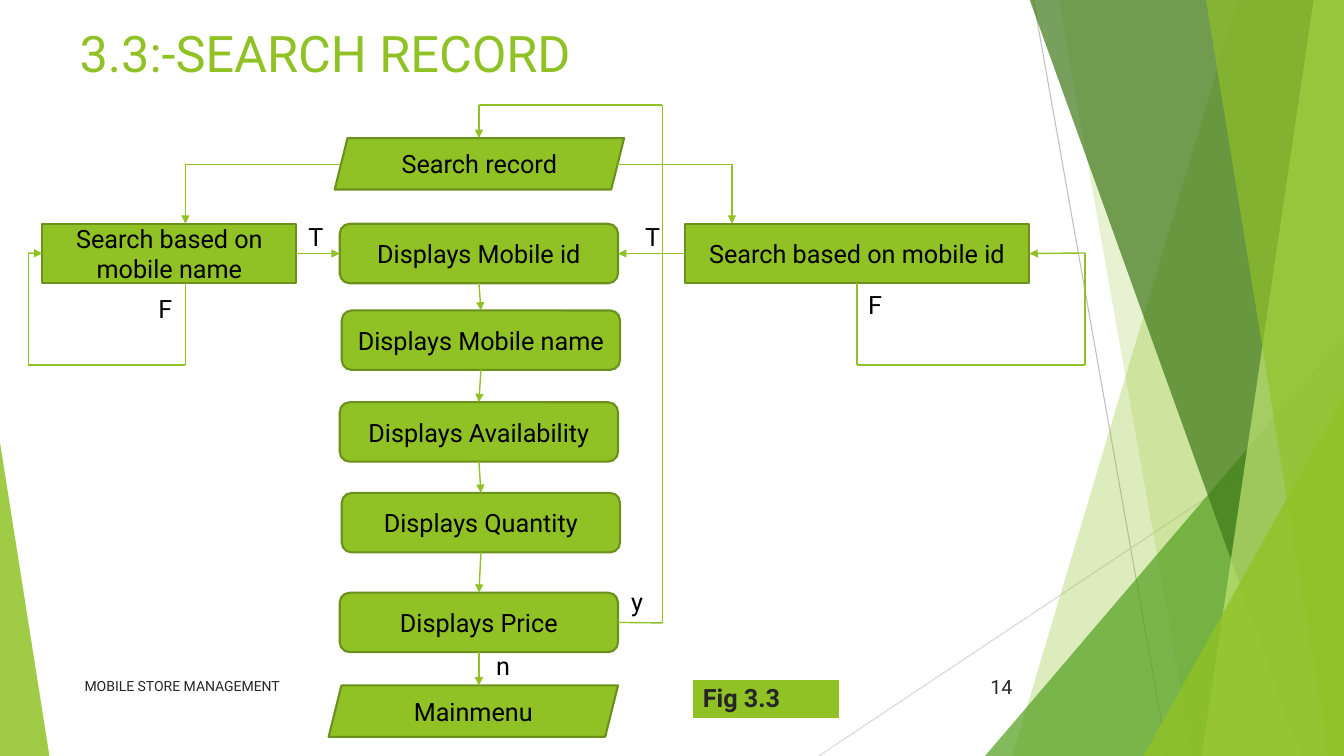
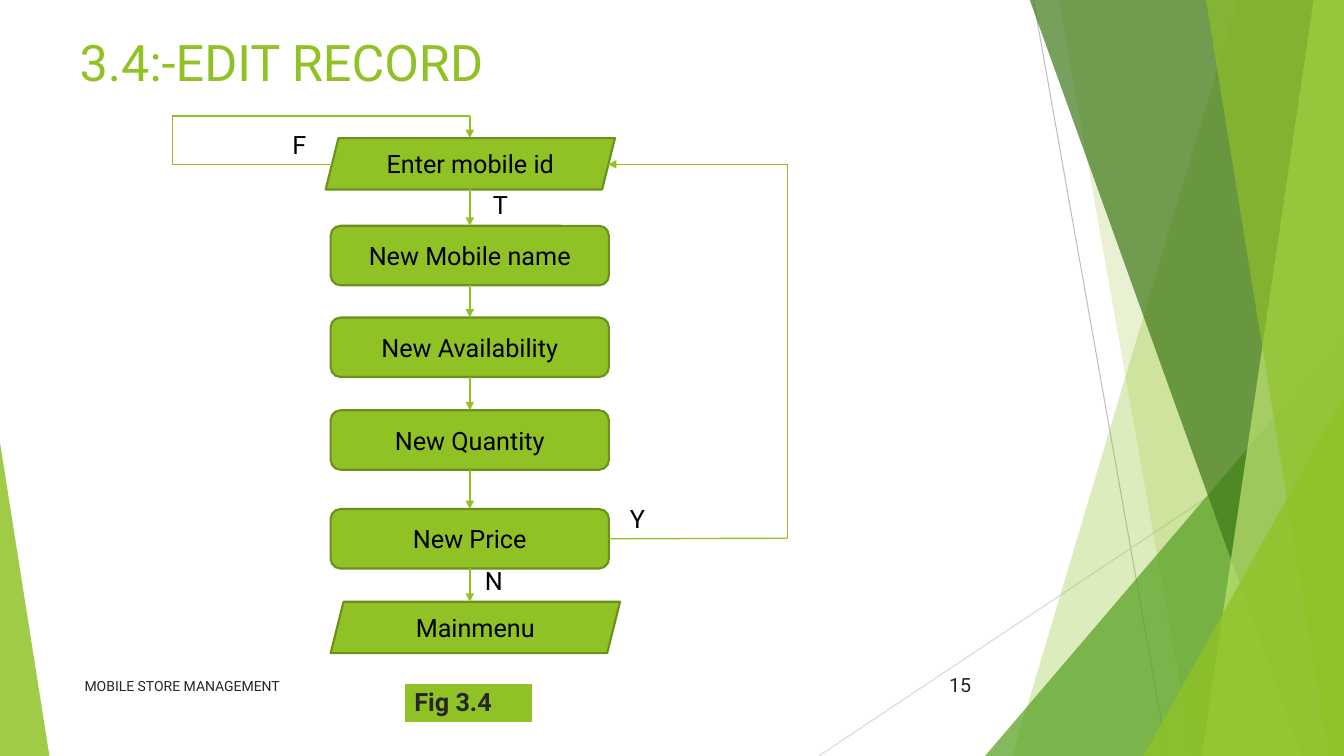
from lxml import etree
from pptx import Presentation
from pptx.dml.color import RGBColor
from pptx.enum.shapes import MSO_CONNECTOR, MSO_SHAPE
from pptx.enum.text import MSO_ANCHOR, PP_ALIGN
from pptx.oxml.ns import qn
from pptx.util import Pt

RECT = MSO_SHAPE.RECTANGLE
ROUND = MSO_SHAPE.ROUNDED_RECTANGLE
SLANT = MSO_SHAPE.PARALLELOGRAM
WEDGE = MSO_SHAPE.ISOSCELES_TRIANGLE
LINE = MSO_CONNECTOR.STRAIGHT
LEFT, MID, RIGHT = PP_ALIGN.LEFT, PP_ALIGN.CENTER, PP_ALIGN.RIGHT
HIGH, CENTRE = MSO_ANCHOR.TOP, MSO_ANCHOR.MIDDLE

SCALE = 9144
WIDE, TALL = 1333, 750
FONT = "Roboto"
GREEN, EDGE, INK, GREY, WHITE = "90C226", "6B901C", "000000", "262626", "FFFFFF"
N, W, S, E = range(4)


def px(n):
    return round(n * SCALE)


def rgb(code):
    return RGBColor.from_string(code)


class Deck:
    def __init__(self):
        self.prs = Presentation()
        self.prs.slide_width, self.prs.slide_height = px(WIDE), px(TALL)
        self.base = self.prs.slide_layouts[5]
        for hold in list(self.base.placeholders):
            if hold.placeholder_format.idx:
                hold.element.getparent().remove(hold.element)
        self.page = None

    def style(self, frame, size, color, align=MID, bold=False):
        for para in frame.paragraphs:
            para.alignment = align
            for run in para.runs:
                font = run.font
                font.name, font.size, font.bold = FONT, Pt(size), bold
                font.color.rgb = rgb(color)

    def slide(self, title, top, num, left, num_top):
        first = self.page is None
        self.page = self.prs.slides.add_slide(self.base)
        if first:
            self.decor()
        head = self.page.shapes.title
        head.left, head.top, head.width, head.height = map(px, (57, top, 926, 78))
        frame = head.text_frame
        frame.text = title
        frame.vertical_anchor, frame.margin_left = HIGH, px(22)
        self.style(frame, 36, GREEN, LEFT)
        self.text("MOBILE STORE MANAGEMENT", 74, 661, 689, 10, GREY, LEFT)
        self.text(num, left, num_top, 75, 14, GREY, RIGHT)

    def decor(self):
        parts = [self.stroke((1025, 0), (1158, TALL), "BFBFBF", 0.75),
                 self.stroke((WIDE, 403), (812, TALL), "D9D9D9", 0.75),
                 self.band(1228, 1004, GREEN, 30),
                 self.band(1050, 1183, GREEN, 20),
                 self.wedge(977, 333, 356, 1, "54A021", 72),
                 self.band(1021, 1291, "3F7819", 70),
                 self.band(1303, 1192, "C0E474", 70),
                 self.band(1196, 1318, GREEN, 65),
                 self.wedge(1134, 393, 199, 1, GREEN, 80),
                 self.wedge(0, 439, 49, 0, GREEN, 85)]
        for part in parts:
            self.base.shapes.element.append(part.element)

    def tint(self, shape, color, alpha):
        shape.shadow.inherit = False
        shape.fill.solid()
        shape.fill.fore_color.rgb = rgb(color)
        shape.line.fill.background()
        tone = shape.element.find(".//" + qn("a:srgbClr"))
        etree.SubElement(tone, qn("a:alpha")).set("val", str(alpha * 1000))
        return shape

    def band(self, high, low, color, alpha):
        form = self.page.shapes.build_freeform(high, -1, scale=SCALE)
        form.add_line_segments([(WIDE, -1), (WIDE, TALL), (low, TALL)], close=True)
        return self.tint(form.convert_to_shape(), color, alpha)

    def wedge(self, x, y, w, tip, color, alpha):
        shape = self.page.shapes.add_shape(WEDGE, *map(px, (x, y, w, TALL - y)))
        shape.adjustments[0] = tip
        return self.tint(shape, color, alpha)

    def box(self, kind, x, y, w, h, text):
        shape = self.page.shapes.add_shape(kind, *map(px, (x, y, w, h)))
        shape.shadow.inherit = False
        shape.fill.solid()
        shape.fill.fore_color.rgb = rgb(GREEN)
        shape.line.color.rgb = rgb(EDGE)
        shape.line.width = Pt(1.5)
        shape.text_frame.text = text
        shape.text_frame.vertical_anchor = CENTRE
        self.style(shape.text_frame, 18, INK)
        return shape

    def slant(self, x, y, text):
        return self.box(SLANT, x, y, 287, 51, text)

    def step(self, x, y, text):
        return self.box(ROUND, x, y, 276, 59, text)

    def text(self, text, x, y, w, size, color, align):
        frame = self.page.shapes.add_textbox(*map(px, (x, y, w, 40))).text_frame
        frame.text = text
        frame.word_wrap = align != MID
        frame.vertical_anchor = CENTRE
        self.style(frame, size, color, align)

    def mark(self, text, x, y):
        self.text(text, x, y, 34, 18, INK, MID)

    def stroke(self, start, end, color=GREEN, width=1, arrow=False):
        spots = [(0, 0) if hasattr(a, "fill") else (px(a), px(b))
                 for a, b in (start, end)]
        line = self.page.shapes.add_connector(LINE, *spots[0], *spots[1])
        for (a, side), join in ((start, line.begin_connect), (end, line.end_connect)):
            if hasattr(a, "fill"):
                join(a, side)
        line.line.color.rgb = rgb(color)
        line.line.width = Pt(width)
        props = line.element.spPr
        if arrow:
            tail = etree.SubElement(props.find(qn("a:ln")), qn("a:tailEnd"))
            tail.set("type", "triangle")
        etree.SubElement(props, qn("a:effectLst"))
        return line

    def wire(self, *stops):
        last = len(stops) - 2
        for i, (start, end) in enumerate(zip(stops, stops[1:])):
            self.stroke(start, end, arrow=i == last)

    def chain(self, steps):
        for above, below in zip(steps, steps[1:]):
            self.wire((above, S), (below, N))

    def label(self, text, x, y, w):
        table = self.page.shapes.add_table(1, 1, *map(px, (x, y, w, 40))).table
        table.first_row = table.horz_banding = False
        cell = table.cell(0, 0)
        cell.text = text
        self.style(cell.text_frame, 18, GREY, LEFT, True)
        props = cell._tc.get_or_add_tcPr()
        for side, width in (("L", 1), ("R", 1), ("T", 1), ("B", 3)):
            rule = etree.SubElement(props, qn("a:ln" + side), w=str(Pt(width)))
            fill = etree.SubElement(rule, qn("a:solidFill"))
            etree.SubElement(fill, qn("a:srgbClr"), val=WHITE)
        cell.fill.solid()
        cell.fill.fore_color.rgb = rgb(GREEN)


def search(deck):
    deck.slide("3.3:-SEARCH RECORD", 17, "14", 939, 661)
    deck.slant(332, 137, "Search record")
    steps = [deck.step(x, y, "Displays " + name) for x, y, name in (
        (337, 222, "Mobile id"), (339, 308, "Mobile name"),
        (337, 399, "Availability"), (339, 489, "Quantity"), (337, 588, "Price"))]
    deck.slant(326, 680, "Mainmenu")
    name = deck.box(RECT, 42, 222, 252, 59, "Search based on mobile name")
    code = deck.box(RECT, 679, 222, 342, 59, "Search based on mobile id")
    deck.chain(steps)
    deck.wire((steps[-1], S), (475, 680))
    deck.wire((338, 163), (184, 163), (184, 222))
    deck.wire((612, 163), (726, 163), (726, 222))
    deck.wire((name, E), (steps[0], W))
    deck.wire((code, W), (steps[0], E))
    deck.wire((steps[-1], E), (657, 618), (657, 104), (475, 104), (475, 137))
    deck.wire((184, 281), (184, 362), (28, 362), (28, 251), (name, W))
    deck.wire((code, S), (850, 362), (1076, 362), (1076, 251), (code, E))
    for mark in (("y", 615, 577), ("n", 482, 640), ("T", 630, 215),
                 ("F", 851, 282), ("F", 147, 286), ("T", 296, 215)):
        deck.mark(*mark)
    deck.label("Fig 3.3", 687, 674, 146)


def edit(deck):
    deck.slide("3.4:-EDIT RECORD", 26, "15", 898, 659)
    deck.slant(323, 137, "Enter mobile id")
    steps = [deck.step(328, y, "New " + name) for y, name in (
        (224, "Mobile name"), (315, "Availability"), (407, "Quantity"), (505, "Price"))]
    deck.slant(328, 597, "Mainmenu")
    deck.chain(steps)
    deck.wire((466, 188), (steps[0], N))
    deck.wire((steps[-1], S), (466, 597))
    deck.wire((steps[-1], E), (781, 534), (781, 163), (603, 163))
    deck.wire((329, 163), (171, 163), (171, 115), (466, 115), (466, 137))
    for mark in (("T", 479, 183), ("F", 280, 123), ("Y", 615, 494), ("N", 471, 556)):
        deck.mark(*mark)
    deck.label("Fig 3.4", 401, 678, 127)


def main():
    deck = Deck()
    search(deck)
    edit(deck)
    deck.prs.save("out.pptx")


if __name__ == "__main__":
    main()
